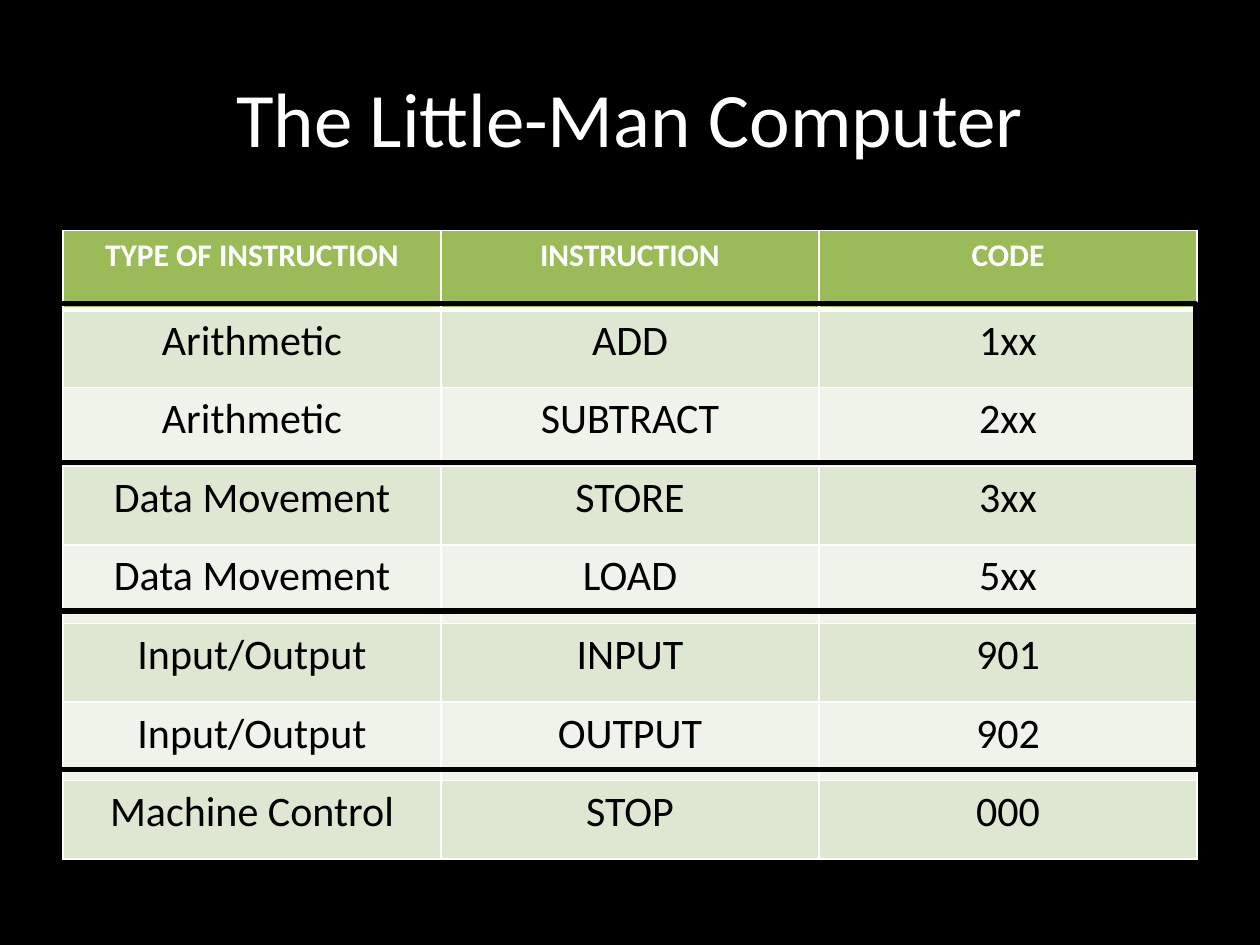
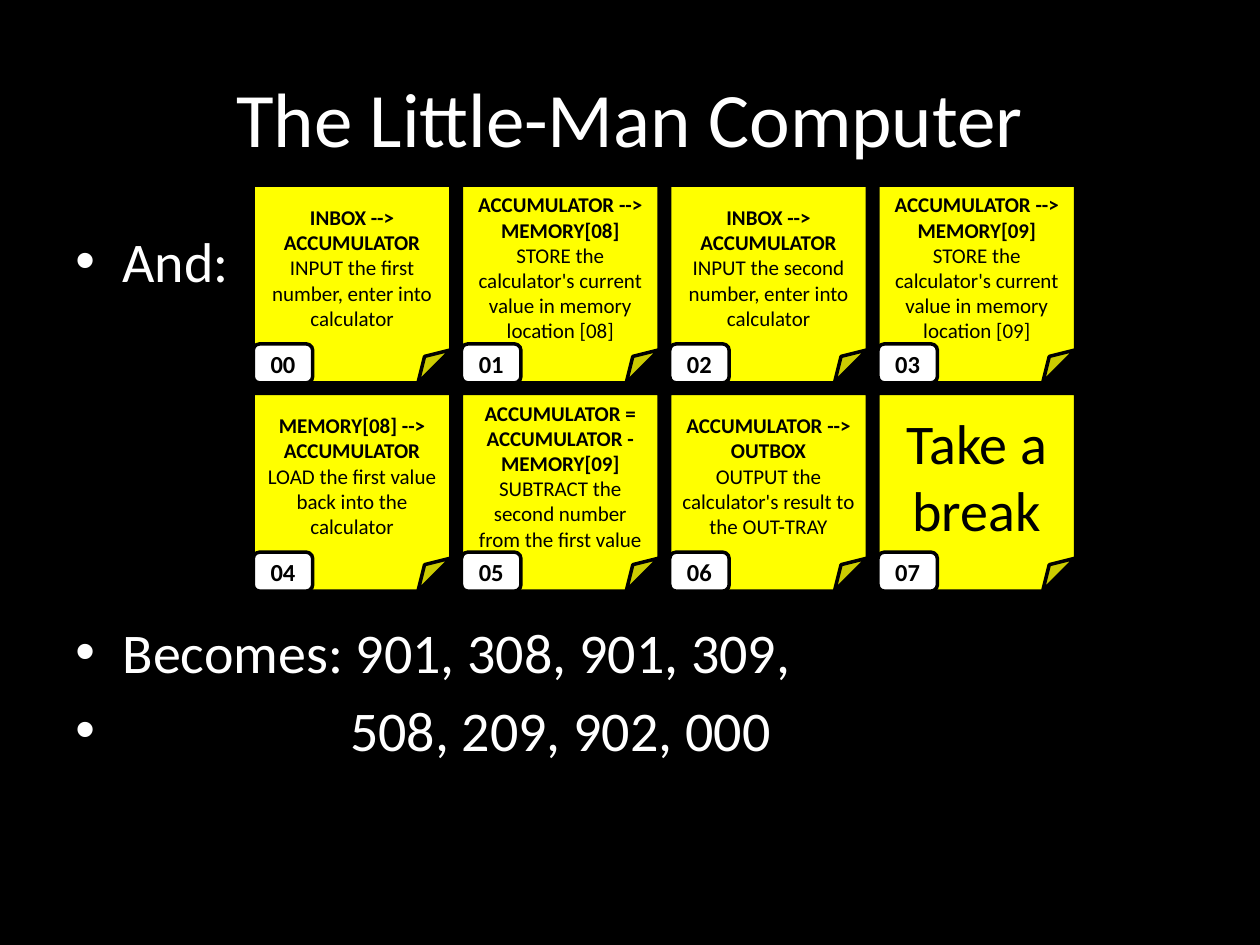
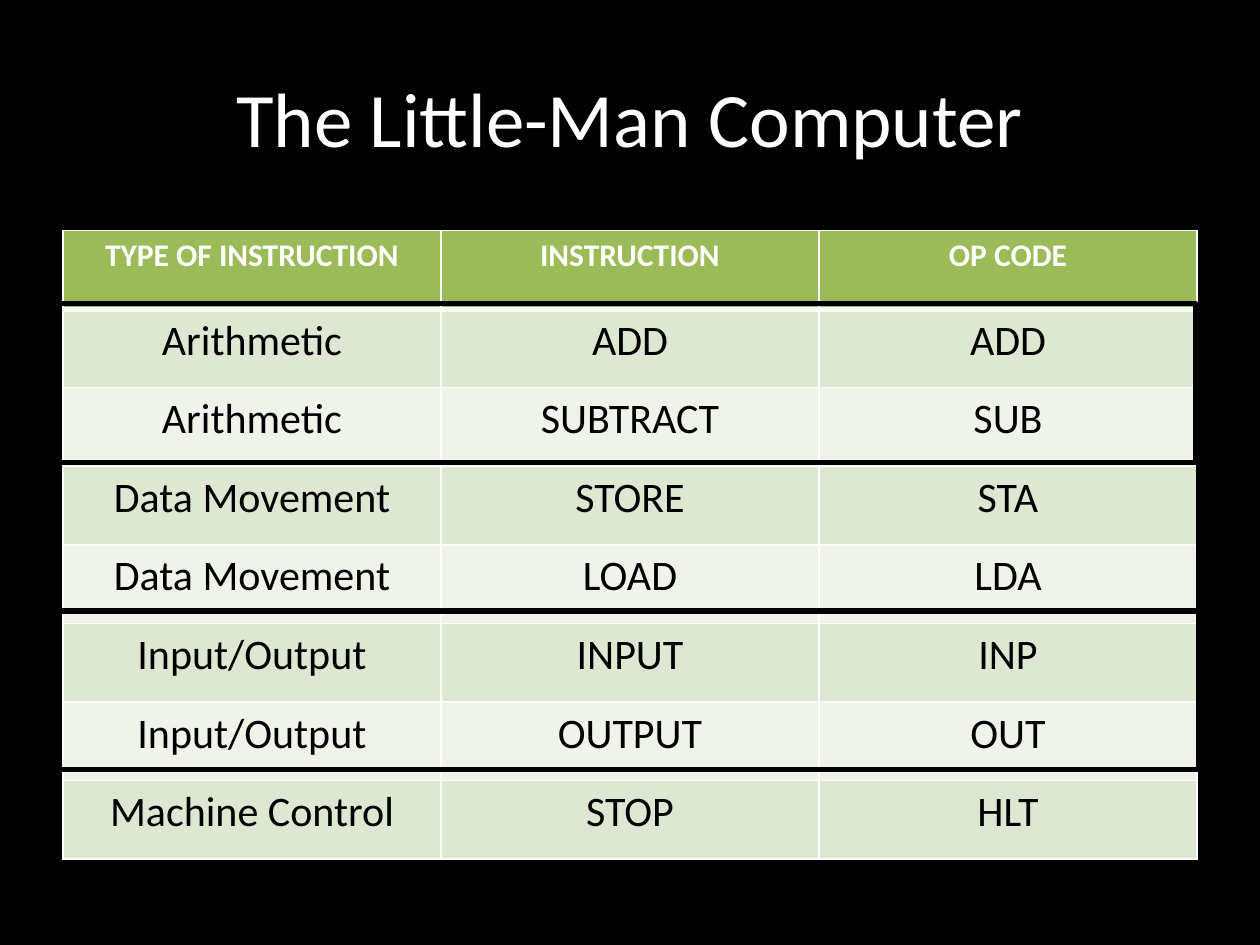
import pptx
import pptx.dml.color
import pptx.enum.shapes
import pptx.enum.text
import pptx.oxml
import pptx.oxml.ns
import pptx.util

Pt = pptx.util.Pt
SHAPE = pptx.enum.shapes.MSO_SHAPE
MIDDLE = pptx.enum.text.MSO_ANCHOR.MIDDLE
CENTER = pptx.enum.text.PP_ALIGN.CENTER
LEFT = pptx.enum.text.PP_ALIGN.LEFT

# Content
TITLE = "The Little-Man Computer"
INSTRUCTIONS = [
    ("Arithmetic", "ADD"),
    ("Arithmetic", "SUBTRACT"),
    ("Data Movement", "STORE"),
    ("Data Movement", "LOAD"),
    ("Input/Output", "INPUT"),
    ("Input/Output", "OUTPUT"),
    ("Machine Control", "STOP"),
]
NUMERIC_CODES = ("CODE", ["1xx", "2xx", "3xx", "5xx", "901", "902", "000"])
OP_CODES = ("OP CODE", ["ADD", "SUB", "STA", "LDA", "INP", "OUT", "HLT"])
NOTES = [
    ("INBOX --> ACCUMULATOR", "INPUT the first number, enter into calculator"),
    ("ACCUMULATOR --> MEMORY[08]",
     "STORE the calculator's current value in memory location [08]"),
    ("INBOX --> ACCUMULATOR", "INPUT the second number, enter into calculator"),
    ("ACCUMULATOR --> MEMORY[09]",
     "STORE the calculator's current value in memory location [09]"),
    ("MEMORY[08] --> ACCUMULATOR",
     "LOAD the first value back into the calculator"),
    ("ACCUMULATOR = ACCUMULATOR - MEMORY[09]",
     "SUBTRACT the second number from the first value"),
    ("ACCUMULATOR --> OUTBOX",
     "OUTPUT the calculator's result to the OUT-TRAY"),
    ("Take a break",),
]
# Text, space before and hanging indent of each bullet, in points
BULLETS = [
    ("And:", 0, 27),
    ("Becomes: 901, 308, 901, 309,", 185, 27),
    ("508, 209, 902, 000", 5.8, 157),
]

# Look and layout, in points
FONT = "Calibri"
COLORS = {"black": "000000", "white": "FFFFFF", "header": "9BBB59",
          "band_dark": "DEE7D1", "band_light": "EFF3EA", "note": "FFFF00"}
MARGIN, CONTENT_W = 36, 648
TABLE_TOP, ROW_H = 131.8, 44.9
GROUP_FRAMES = [(31, 173.5, 90.7), (32.4, 264.2, 85), (32.4, 349.2, 90.7)]
FRAME_W = 652.3
NOTE_COLS, NOTE_SIZE, NOTE_PITCH = 4, 113, 119
NOTE_LEFT, NOTE_TOP = 144.7, 105.8
LABEL_W, LABEL_H = 34, 22.3


def rgb(name):
    """Return the named colour."""
    return pptx.dml.color.RGBColor.from_string(COLORS[name])


def style(p, size, color, bold=False, align=CENTER):
    """Format a paragraph and its runs."""
    p.alignment = align
    for r in p.runs:
        r.font.name, r.font.size, r.font.bold = FONT, Pt(size), bold
        r.font.color.rgb = rgb(color)


def add_slide(prs):
    """Add a slide with the shared title."""
    s = prs.slides.add_slide(prs.slide_layouts[5])
    title = s.shapes.title
    title.left, title.top = Pt(MARGIN), Pt(21.6)
    title.width, title.height = Pt(CONTENT_W), Pt(90)
    tf = title.text_frame
    tf.text, tf.vertical_anchor = TITLE, MIDDLE
    style(tf.paragraphs[0], 44, "white")
    return s


def add_box(s, kind, box, line, fill=None):
    """Add a black-outlined shape, hollow unless a fill is named."""
    sp = s.shapes.add_shape(kind, *map(Pt, box))
    sp.shadow.inherit = False
    sp.line.color.rgb, sp.line.width = rgb("black"), Pt(line)
    if fill:
        sp.fill.solid()
        sp.fill.fore_color.rgb = rgb(fill)
    else:
        sp.fill.background()
    sp.text_frame.word_wrap = True
    sp.text_frame.vertical_anchor = MIDDLE
    return sp


def set_borders(cell, widths):
    """Draw white borders with a width for each of the sides L, R, T, B."""
    for side, width in widths.items():
        cell._tc.get_or_add_tcPr().append(pptx.oxml.parse_xml(
            f'<a:ln{side} {pptx.oxml.ns.nsdecls("a")} w="{Pt(width)}">'
            f'<a:solidFill><a:srgbClr val="{COLORS["white"]}"/></a:solidFill>'
            f'</a:ln{side}>'))


def add_instruction_table(s, code_heading, codes):
    """Add the instruction table and the frames around its groups."""
    rows = [("TYPE OF INSTRUCTION", "INSTRUCTION", code_heading)]
    rows += [(*names, code) for names, code in zip(INSTRUCTIONS, codes)]
    table = s.shapes.add_table(len(rows), 3, Pt(MARGIN), Pt(TABLE_TOP),
                               Pt(CONTENT_W), Pt(ROW_H * len(rows))).table
    for i, row in enumerate(rows):
        table.rows[i].height = Pt(ROW_H)
        fill = "header" if i == 0 else "band_dark" if i % 2 else "band_light"
        size, color = (18, "white") if i == 0 else (24, "black")
        widths = {"L": 1, "R": 1, "T": 3 if i == 1 else 1,
                  "B": 3 if i == 0 else 1}
        for j, text in enumerate(row):
            cell = table.cell(i, j)
            cell.text_frame.text = text
            style(cell.text_frame.paragraphs[0], size, color, i == 0)
            set_borders(cell, widths)
            cell.fill.solid()
            cell.fill.fore_color.rgb = rgb(fill)
    for left, top, height in GROUP_FRAMES:
        add_box(s, SHAPE.RECTANGLE, (left, top, FRAME_W, height), 3)


def add_bullets(s):
    """Add the bulleted text with hanging indents."""
    tf = s.shapes.add_textbox(Pt(MARGIN), Pt(126), Pt(CONTENT_W),
                              Pt(356.4)).text_frame
    tf.word_wrap = True
    tf.text = "\n".join(text for text, _, _ in BULLETS)
    for p, (_, before, indent) in zip(tf.paragraphs, BULLETS):
        style(p, 32, "white", align=LEFT)
        p.space_before = Pt(before)
        pPr = p._p.get_or_add_pPr()
        pPr.set("marL", str(Pt(indent)))
        pPr.set("indent", str(-Pt(indent)))
        for tag in (f'buClr {pptx.oxml.ns.nsdecls("a")}><a:srgbClr '
                    f'val="{COLORS["white"]}"/></a:buClr',
                    f'buFont {pptx.oxml.ns.nsdecls("a")} typeface="Arial"/',
                    f'buChar {pptx.oxml.ns.nsdecls("a")} char="•"/'):
            pPr.append(pptx.oxml.parse_xml(f"<a:{tag}>"))


def add_note(s, index, lines):
    """Add one sticky note with its memory address label."""
    row, col = divmod(index, NOTE_COLS)
    left, top = NOTE_LEFT + col * NOTE_PITCH, NOTE_TOP + row * NOTE_PITCH
    tf = add_box(s, SHAPE.FOLDED_CORNER, (left, top, NOTE_SIZE, NOTE_SIZE),
                 2, "note").text_frame
    tf.text = "\n".join(lines)
    has_heading = len(lines) > 1
    for i, p in enumerate(tf.paragraphs):
        style(p, 12 if has_heading else 32, "black", has_heading and i == 0)
    label = add_box(s, SHAPE.ROUNDED_RECTANGLE,
                    (left, top + NOTE_SIZE - LABEL_H, LABEL_W, LABEL_H),
                    2, "white")
    label.text_frame.text = f"{index:02d}"
    style(label.text_frame.paragraphs[0], 14, "black", True)


def main():
    """Build the three slides."""
    prs = pptx.Presentation()
    prs.slide_width, prs.slide_height = Pt(720), Pt(540)
    background = prs.slide_master.background.fill
    background.solid()
    background.fore_color.rgb = rgb("black")

    add_instruction_table(add_slide(prs), *NUMERIC_CODES)

    s = add_slide(prs)
    add_bullets(s)
    for index, lines in enumerate(NOTES):
        add_note(s, index, lines)

    add_instruction_table(add_slide(prs), *OP_CODES)
    prs.save("out.pptx")


main()
